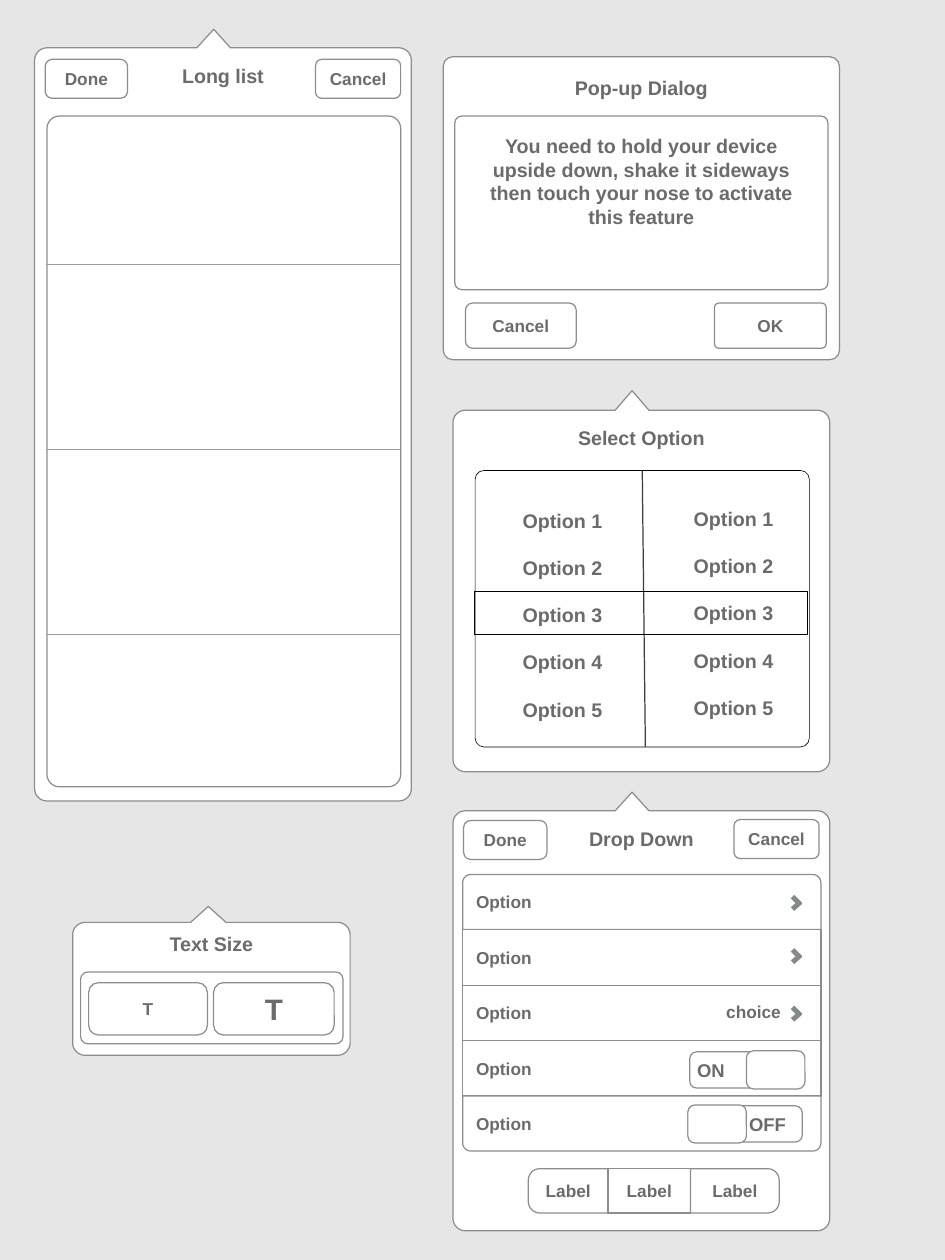
import math
from dataclasses import dataclass

import pptx
import pptx.util
import pptx.dml.color
import pptx.enum.shapes
import pptx.enum.text
import pptx.oxml.ns
from lxml import etree

PX = 9144  # EMU per px, 100 px to the inch
FONT = "Arial"
WHITE, GREY, INK, BLACK = "FFFFFF", "8D8D8D", "6B6B6B", "000000"
ALIGN = pptx.enum.text.PP_ALIGN
ANCHOR = pptx.enum.text.MSO_ANCHOR
SHAPE = pptx.enum.shapes.MSO_SHAPE


@dataclass(frozen=True)
class Label:
    lines: tuple[str, ...]
    size: int = 14
    align: ALIGN = ALIGN.CENTER
    anchor: ANCHOR = ANCHOR.MIDDLE
    insets: tuple[int, int, int, int] = (0, 0, 0, 0)  # left, top, right, bottom
    gap: float = 0


@dataclass(frozen=True)
class Box:
    x: int
    y: int
    w: int
    h: int
    radius: int = 0
    label: Label | None = None
    fill: str = WHITE
    line: str = GREY
    weight: float = 1


@dataclass(frozen=True)
class Outline(Box):
    corners: tuple[int, int, int, int] = (14, 14, 14, 14)  # from top left, clockwise
    tip: tuple[int, int, int] | None = None  # x, height, half width


@dataclass(frozen=True)
class Line:
    x1: int
    y1: int
    x2: int
    y2: int
    color: str
    weight: float


def rgb(color: str) -> pptx.dml.color.RGBColor:
    return pptx.dml.color.RGBColor.from_string(color)


def title(text: str, inset: int = 18, tip: int = 0) -> Label:
    return Label((text,), 16, anchor=ANCHOR.TOP, insets=(inset, inset + tip, inset, inset))


def write(sp, label: Label) -> None:
    tf = sp.text_frame
    tf.word_wrap = True
    tf.vertical_anchor = label.anchor
    tf.margin_left, tf.margin_top, tf.margin_right, tf.margin_bottom = (
        n * PX for n in label.insets)
    for i, text in enumerate(label.lines):
        p = tf.add_paragraph() if i else tf.paragraphs[0]
        p.text = text
        p.alignment = label.align
        p.line_spacing = pptx.util.Pt(1.2 * label.size)
        p.space_before = pptx.util.Pt(label.gap if i else 0)
        p.font.name, p.font.size, p.font.bold = FONT, pptx.util.Pt(label.size), True
        p.font.color.rgb = rgb(INK)


def outline_points(b: Outline) -> list[tuple[int, int]]:
    points = []
    if b.tip:
        x, rise, half = b.tip
        points += [(x - half, b.y), (x, b.y - rise), (x + half, b.y)]
    tl, tr, br, bl = b.corners
    right, bottom = b.x + b.w, b.y + b.h
    arcs = [(right - tr, b.y + tr, tr, -90), (right - br, bottom - br, br, 0),
            (b.x + bl, bottom - bl, bl, 90), (b.x + tl, b.y + tl, tl, 180)]
    for cx, cy, r, start in arcs:
        for step in range(9 if r else 1):
            a = math.radians(start + step * 90 / 8)
            points.append((cx + r * math.cos(a), cy + r * math.sin(a)))
    return [(round(x * PX), round(y * PX)) for x, y in points]


def draw_box(shapes, b: Box):
    if isinstance(b, Outline):
        first, *rest = outline_points(b)
        builder = shapes.build_freeform(*first, scale=1.0)
        builder.add_line_segments(rest, close=True)
        sp = builder.convert_to_shape()
    else:
        kind = SHAPE.ROUNDED_RECTANGLE if b.radius else SHAPE.RECTANGLE
        sp = shapes.add_shape(kind, b.x * PX, b.y * PX, b.w * PX, b.h * PX)
        if b.radius:
            sp.adjustments[0] = b.radius / min(b.w, b.h)
    sp.shadow.inherit = False
    if b.fill:
        sp.fill.solid()
        sp.fill.fore_color.rgb = rgb(b.fill)
    else:
        sp.fill.background()
    if b.line:
        sp.line.color.rgb = rgb(b.line)
        sp.line.width = pptx.util.Pt(b.weight)
    else:
        sp.line.fill.background()
    if b.label:
        write(sp, b.label)
    return sp


def draw_line(shapes, ln: Line):
    c = shapes.add_connector(pptx.enum.shapes.MSO_CONNECTOR.STRAIGHT,
                             ln.x1 * PX, ln.y1 * PX, ln.x2 * PX, ln.y2 * PX)
    c.line.color.rgb = rgb(ln.color)
    c.line.width = pptx.util.Pt(ln.weight)
    etree.SubElement(c._element.spPr, pptx.oxml.ns.qn("a:effectLst"))
    return c


def draw_all(shapes, boxes: list[Box]) -> None:
    for b in boxes:
        draw_box(shapes, b)


def draw_dialog(shapes) -> None:
    message = ("You need to hold your device upside down, shake it sideways "
               "then touch your nose to activate this feature")
    draw_all(shapes, [
        Box(500, 64, 447, 342, 11, title("Pop-up Dialog")),
        Box(806, 342, 126, 51, 5, Label(("OK",))),
        Box(513, 131, 421, 196, 8, title(message)),
        Box(525, 342, 125, 51, 8, Label(("Cancel",)))])


def draw_text_size(shapes) -> None:
    draw_all(shapes, [
        Outline(82, 1041, 313, 150, label=title("Text Size", 11, 18), tip=(235, 18, 20)),
        Box(91, 1097, 296, 81, 8),
        Box(100, 1109, 134, 59, 11, Label(("T",))),
        Box(241, 1109, 136, 59, 11, Label(("T",), 24))])


def draw_long_list(shapes) -> None:
    draw_all(shapes, [
        Outline(39, 54, 425, 850, label=title("Long list", tip=21), tip=(241, 21, 19)),
        Box(51, 67, 93, 44, 8, Label(("Done",))),
        Box(356, 67, 96, 44, 7, Label(("Cancel",))),
        Box(53, 131, 399, 757, 14)])
    for y in (299, 507, 716):
        draw_line(shapes, Line(52, y, 451, y, "9B9B9B", 0.75))


def draw_select(shapes) -> None:
    draw_box(shapes, Outline(511, 463, 425, 408, label=title("Select Option", tip=22),
                             tip=(713, 22, 19)))
    frame = draw_box(shapes, Box(536, 531, 377, 312, 10, line=BLACK, weight=0.5))
    divider = draw_line(shapes, Line(724, 531, 728, 843, "3C3C3C", 1))
    divider.begin_connect(frame, 0)
    options = Label(tuple(f"Option {n}" for n in range(1, 6)), 16, anchor=ANCHOR.TOP,
                    insets=(10, 5, 10, 5), gap=19.2)
    for x, y in ((571, 569), (764, 567)):
        write(shapes.add_textbox(x * PX, y * PX, 127 * PX, 250 * PX), options)
    draw_box(shapes, Box(535, 667, 376, 49, fill="", line=BLACK, weight=0.5))


def draw_drop_down(shapes) -> None:
    draw_all(shapes, [
        Outline(511, 915, 425, 474, label=title("Drop Down", tip=21), tip=(713, 21, 19)),
        Box(523, 926, 94, 44, 8, Label(("Done",))),
        Box(828, 925, 96, 44, 7, Label(("Cancel",)))])

    # Segmented labels
    segments = [(596, 90, (13, 0, 0, 13)), (686, 93, (0, 0, 0, 0)), (779, 100, (0, 13, 13, 0))]
    for x, w, corners in segments:
        draw_box(shapes, Outline(x, 1319, w, 50, label=Label(("Label",)), corners=corners))

    # Option rows
    option = Label(("Option",), align=ALIGN.LEFT, insets=(15, 15, 15, 15))
    edges = [round(987 + 62.4 * i) for i in range(6)]
    rounding = {0: (9, 9, 0, 0), 4: (0, 0, 9, 9)}
    for i, (top, bottom) in enumerate(zip(edges, edges[1:])):
        draw_box(shapes, Outline(522, top, 404, bottom - top, label=option,
                                 corners=rounding.get(i, (0, 0, 0, 0))))

    # Choice, switches and chevrons
    draw_all(shapes, [
        Box(718, 1130, 163, 24, label=Label(("choice",), align=ALIGN.RIGHT), line=""),
        Box(778, 1187, 129, 41, 8, Label(("ON",), 15, ALIGN.LEFT, insets=(6, 0, 0, 0))),
        Box(842, 1186, 66, 43, 8),
        Box(776, 1248, 129, 41, 8, Label(("OFF",), 15, ALIGN.RIGHT, insets=(0, 0, 16, 0))),
        Box(776, 1247, 66, 43, 8)])
    for y in (1012, 1072, 1137):
        draw_line(shapes, Line(894, y, 903, y + 9, "86898A", 4))
        draw_line(shapes, Line(894, y + 14, 903, y + 6, "86898A", 4))


def main() -> None:
    prs = pptx.Presentation()
    prs.slide_width, prs.slide_height = 1066 * PX, 1422 * PX
    s = prs.slides.add_slide(prs.slide_layouts[6])
    s.background.fill.solid()
    s.background.fill.fore_color.rgb = rgb("E6E6E6")
    for draw in (draw_dialog, draw_text_size, draw_long_list, draw_select, draw_drop_down):
        draw(s.shapes)
    prs.save("out.pptx")


if __name__ == "__main__":
    main()
